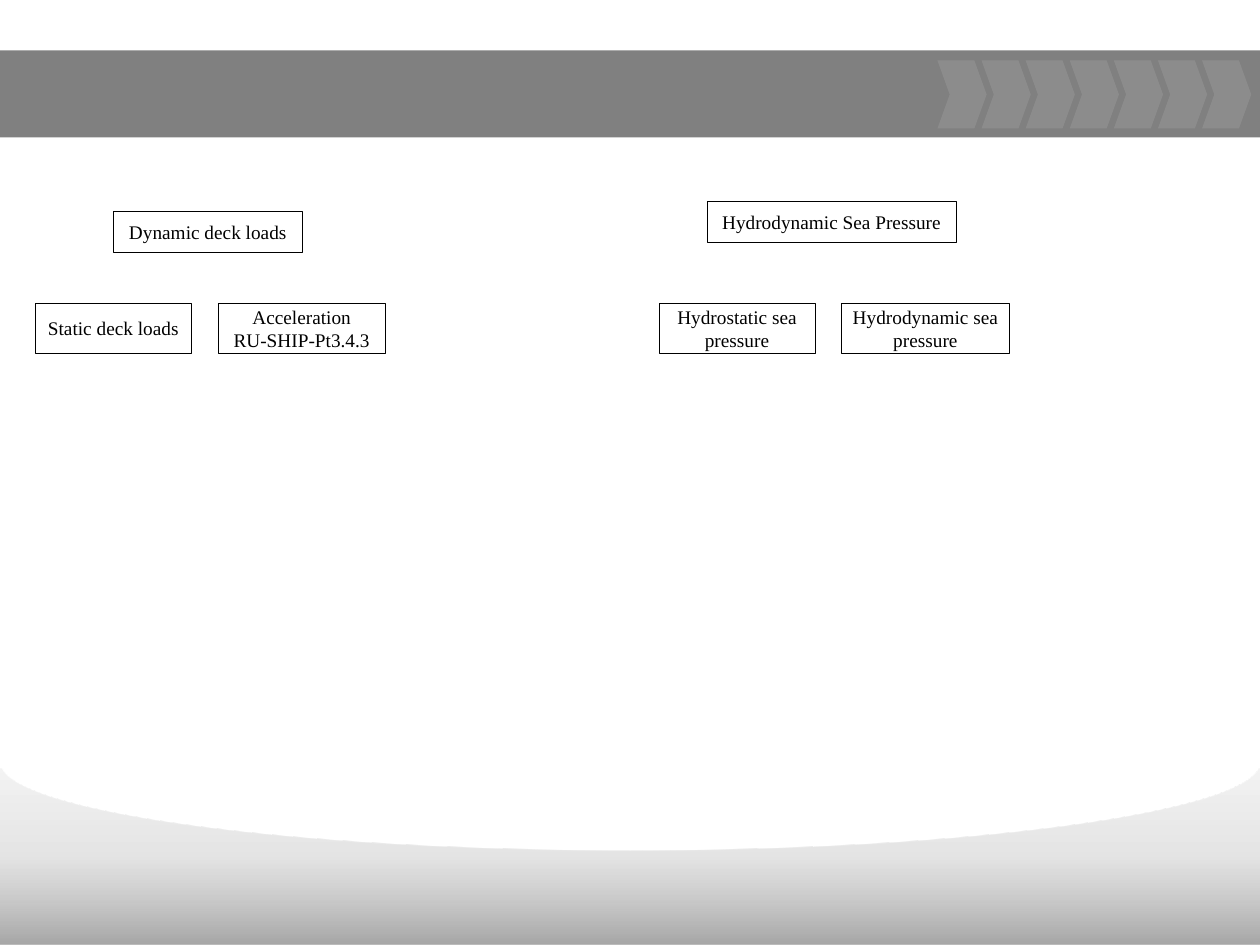
from dataclasses import dataclass

from lxml.etree import SubElement
from pptx import Presentation
from pptx.dml.color import RGBColor
from pptx.enum.shapes import MSO_SHAPE
from pptx.enum.text import MSO_ANCHOR, PP_ALIGN
from pptx.oxml.ns import qn
from pptx.util import Inches, Pt


@dataclass(frozen=True)
class Theme:
    font: str = "Times New Roman"
    label_size: float = 11
    outline_width: float = 0.25
    ink: str = "000000"
    band: str = "808080"
    chevron: str = "FFFFFF"
    chevron_opacity: int = 10
    footer_stops: tuple = ((0, "D9D9D9", 30), (50, "A6A6A6", 30), (100, "808080", 70))


THEME = Theme()


def set_opacity(color_element, percent):
    SubElement(color_element, qn("a:alpha")).set("val", str(percent * 1000))


def fill_plain(shape, color, opacity=100):
    shape.shadow.inherit = False
    shape.line.fill.background()
    shape.fill.solid()
    shape.fill.fore_color.rgb = RGBColor.from_string(color)
    if opacity < 100:
        set_opacity(shape.fill._xPr.find(qn("a:solidFill"))[0], opacity)


def fill_downward(shape, stops):
    shape.shadow.inherit = False
    shape.line.fill.background()
    shape.fill.gradient()
    shape.fill.gradient_angle = 270
    stop_list = shape.fill._xPr.find(qn("a:gradFill")).find(qn("a:gsLst"))
    for old_stop in list(stop_list):
        stop_list.remove(old_stop)
    for position, color, opacity in stops:
        stop = SubElement(stop_list, qn("a:gs"))
        stop.set("pos", str(position * 1000))
        color_element = SubElement(stop, qn("a:srgbClr"))
        color_element.set("val", color)
        set_opacity(color_element, opacity)


def bezier(points, steps=40):
    (x0, y0), (x1, y1), (x2, y2), (x3, y3) = points
    for step in range(steps + 1):
        t = step / steps
        a, b, c, d = (1 - t) ** 3, 3 * t * (1 - t) ** 2, 3 * t * t * (1 - t), t ** 3
        yield a * x0 + b * x1 + c * x2 + d * x3, a * y0 + b * y1 + c * y2 + d * y3


def add_footer(slide, left, top, width, height):
    half = width / 2
    descent = list(bezier([(0.03, 0.02), (0.28, 0.37), (2.41, 0.65), (half, 0.65)]))
    left_rim = [(0, 0), (0.02, 0)] + descent
    right_rim = [(width - x, y) for x, y in reversed(left_rim[:-1])]
    outline = left_rim + right_rim + [(width, height), (0, height)]
    points = [(Inches(left + x), Inches(top + y)) for x, y in outline]
    builder = slide.shapes.build_freeform(*points[0], scale=1.0)
    builder.add_line_segments(points[1:], close=True)
    fill_downward(builder.convert_to_shape(), THEME.footer_stops)


def add_header(slide, left, top, width, height):
    band = slide.shapes.add_shape(
        MSO_SHAPE.RECTANGLE, Inches(left), Inches(top), Inches(width), Inches(height)
    )
    fill_plain(band, THEME.band)
    for index in range(7):
        chevron = slide.shapes.add_shape(
            MSO_SHAPE.CHEVRON,
            Inches(left + width - 2.56 + 0.35 * index), Inches(top + 0.08),
            Inches(0.39), Inches(0.54),
        )
        chevron.adjustments[0] = 0.25
        fill_plain(chevron, THEME.chevron, THEME.chevron_opacity)


def add_label(slide, text, *, left, top, width, height):
    label = slide.shapes.add_shape(
        MSO_SHAPE.RECTANGLE, Inches(left), Inches(top), Inches(width), Inches(height)
    )
    label.shadow.inherit = False
    label.fill.background()
    label.line.color.rgb = RGBColor.from_string(THEME.ink)
    label.line.width = Pt(THEME.outline_width)
    frame = label.text_frame
    frame.word_wrap = True
    frame.vertical_anchor = MSO_ANCHOR.MIDDLE
    frame.margin_left = frame.margin_right = Inches(0.08)
    frame.margin_top = frame.margin_bottom = 0
    frame.text = text
    for paragraph in frame.paragraphs:
        paragraph.alignment = PP_ALIGN.CENTER
        for run in paragraph.runs:
            run.font.name = THEME.font
            run.font.size = Pt(THEME.label_size)
            run.font.color.rgb = RGBColor.from_string(THEME.ink)


def add_load_group(slide, left, top, total, parts, *, total_offset, total_width, rise):
    add_label(slide, total, left=left + total_offset, top=top - rise,
              width=total_width, height=0.32)
    for text, offset, width in zip(parts, (0, 1.45), (1.24, 1.33)):
        add_label(slide, text, left=left + offset, top=top, width=width, height=0.39)


def main():
    presentation = Presentation()
    presentation.slide_width = Inches(10)
    presentation.slide_height = Inches(7.5)
    slide = presentation.slides.add_slide(presentation.slide_layouts[6])
    add_footer(slide, 0, 6.1, 10, 1.4)
    add_header(slide, 0, 0.4, 10, 0.69)
    add_load_group(
        slide, 0.28, 2.41, "Dynamic deck loads",
        ("Static deck loads", "Acceleration\nRU-SHIP-Pt3.4.3"),
        total_offset=0.62, total_width=1.5, rise=0.73,
    )
    add_load_group(
        slide, 5.23, 2.41, "Hydrodynamic Sea Pressure",
        ("Hydrostatic sea pressure", "Hydrodynamic sea pressure"),
        total_offset=0.38, total_width=1.98, rise=0.81,
    )
    presentation.save("out.pptx")


if __name__ == "__main__":
    main()
